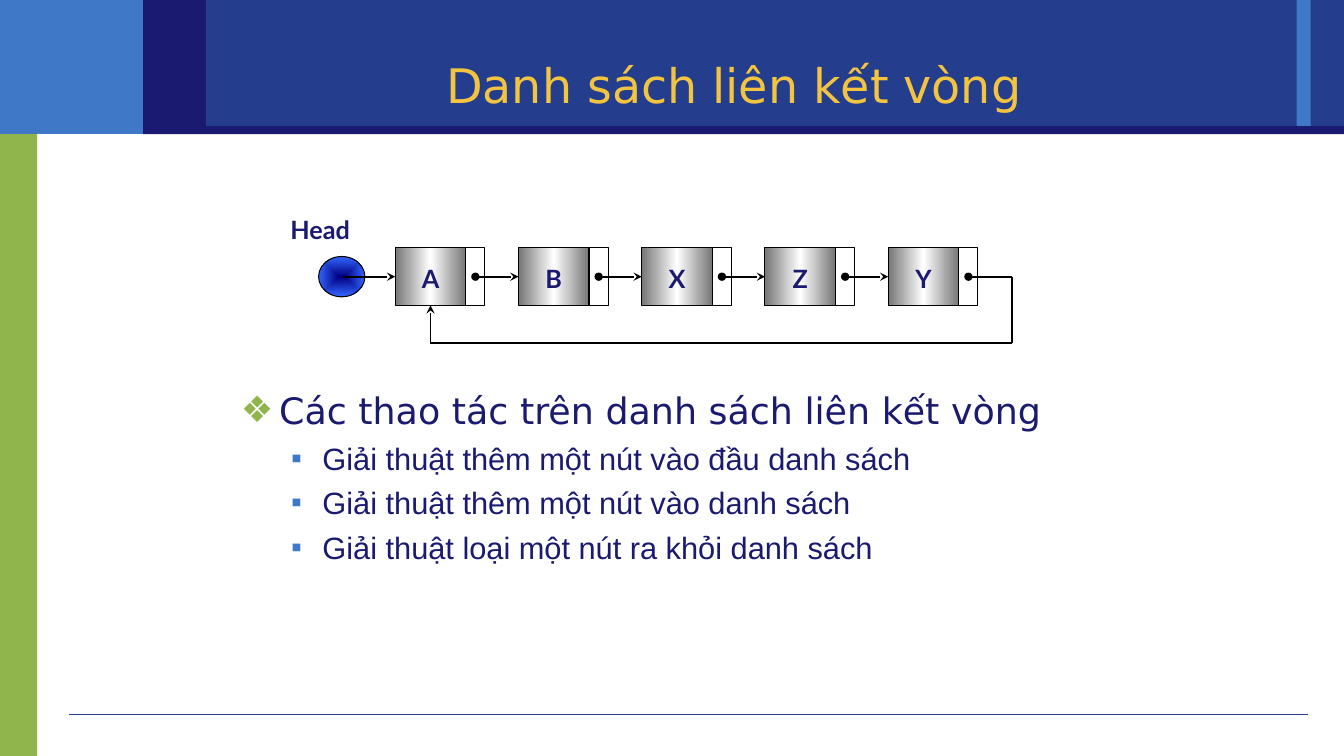
from dataclasses import dataclass

from lxml.etree import SubElement
from pptx import Presentation
from pptx.dml.color import RGBColor
from pptx.enum.shapes import MSO_CONNECTOR, MSO_SHAPE
from pptx.enum.text import MSO_ANCHOR, PP_ALIGN
from pptx.oxml.ns import qn
from pptx.util import Inches, Pt


@dataclass(frozen=True)
class Theme:
    white: str = "FFFFFF"
    black: str = "000000"
    navy: str = "1A1A70"
    blue: str = "243D8C"
    sky: str = "3E78C6"
    green: str = "90B54D"
    gold: str = "F3C43F"
    metal: tuple = ((0, "767676"), (50, "FFFFFF"), (100, "767676"))
    glow: tuple = ((0, "000080"), (100, "3366FF"))
    heading_font: str = "DejaVu Sans"
    list_font: str = "Arial"
    label_font: str = "Lato"
    title_size: float = 34
    topic_size: float = 26
    item_size: float = 22
    label_size: float = 18


@dataclass(frozen=True)
class Box:
    left: float
    top: float
    width: float
    height: float

    def inches(self):
        return [Inches(n) for n in (self.left, self.top, self.width, self.height)]


THEME = Theme()
TOP, LEFT, BOTTOM = 0, 1, 2
NODES = "ABXZY"
TOPIC = "Các thao tác trên danh sách liên kết vòng"
ITEMS = (
    "Giải thuật thêm một nút vào đầu danh sách",
    "Giải thuật thêm một nút vào danh sách",
    "Giải thuật loại một nút ra khỏi danh sách",
)


def add_panel(page, box, fill=None, outline=None, kind=MSO_SHAPE.RECTANGLE):
    panel = page.shapes.add_shape(kind, *box.inches())
    panel.shadow.inherit = False
    if fill:
        panel.fill.solid()
        panel.fill.fore_color.rgb = RGBColor.from_string(fill)
    if outline:
        panel.line.color.rgb = RGBColor.from_string(outline)
        panel.line.width = Pt(0.75)
    else:
        panel.line.fill.background()
    return panel


def set_gradient(panel, stops, radial=False):
    """Fill with colour stops, left to right or from the centre outwards."""
    panel.fill.gradient()
    gradient = panel.fill._xPr.find(qn("a:gradFill"))
    for child in list(gradient):
        gradient.remove(child)
    stop_list = SubElement(gradient, qn("a:gsLst"))
    for percent, color in stops:
        stop = SubElement(stop_list, qn("a:gs"), pos=str(percent * 1000))
        SubElement(stop, qn("a:srgbClr"), val=color)
    if radial:
        shade = SubElement(gradient, qn("a:path"), {"path": "shape"})
        SubElement(shade, qn("a:fillToRect"), l="50000", t="50000", r="50000", b="50000")
    else:
        SubElement(gradient, qn("a:lin"), ang="0", scaled="1")


def add_line(page, start, end, color=THEME.black, width=1.25, head=None, tail=None):
    line = page.shapes.add_connector(
        MSO_CONNECTOR.STRAIGHT, *[Inches(n) for n in (*start, *end)])
    line.line.color.rgb = RGBColor.from_string(color)
    line.line.width = Pt(width)
    outline = line.line._ln
    for tag, style in (("a:headEnd", head), ("a:tailEnd", tail)):
        if style:
            SubElement(outline, qn(tag), type=style)
    SubElement(line._element.spPr, qn("a:effectLst"))
    return line


def add_span(para, text, *, font, size, color, bold=False, align=None):
    para.alignment = align
    span = para.add_run()
    span.text = text
    span.font.name = font
    span.font.size = Pt(size)
    span.font.bold = bold
    span.font.color.rgb = RGBColor.from_string(color)


def prepare_frame(shape, insets, anchor=MSO_ANCHOR.MIDDLE):
    frame = shape.text_frame
    frame.word_wrap = True
    frame.vertical_anchor = anchor
    (frame.margin_left, frame.margin_top,
     frame.margin_right, frame.margin_bottom) = [Inches(n) for n in insets]
    return frame


def add_label(shape, text, top_inset=0):
    frame = prepare_frame(shape, (0, top_inset, 0, 0))
    add_span(frame.paragraphs[0], text, font=THEME.label_font, size=THEME.label_size,
             color=THEME.navy, bold=True, align=PP_ALIGN.CENTER)


def set_bullet(para, char, color, left, hanging):
    properties = para._p.get_or_add_pPr()
    properties.set("marL", str(Inches(left)))
    properties.set("indent", str(-Inches(hanging)))
    bullet_color = SubElement(properties, qn("a:buClr"))
    SubElement(bullet_color, qn("a:srgbClr"), val=color)
    SubElement(properties, qn("a:buFont"), typeface=THEME.list_font)
    SubElement(properties, qn("a:buChar"), char=char)


def draw_background(page, box):
    band = 1.33
    block, accent, strip = 2.05, 0.63, 0.08
    add_panel(page, Box(box.left, box.top + band, 0.37, box.height - band), THEME.green)
    add_panel(page, Box(box.left, box.top, block, band), THEME.sky)
    add_panel(page, Box(box.left + block, box.top, box.width - block, band), THEME.blue)
    add_panel(page, Box(box.left + 12.86, box.top, 0.14, band - strip), THEME.sky)
    add_line(page, (box.left + 0.68, box.top + 7.09), (box.left + 12.97, box.top + 7.09),
             color=THEME.blue, width=0.5)
    add_panel(page, Box(box.left + 1.42, box.top + band - strip, box.width - 1.42, strip),
              THEME.navy)
    add_panel(page, Box(box.left + block - accent, box.top, accent, band), THEME.navy)


def draw_title(page, box, text):
    frame = prepare_frame(page.shapes.add_textbox(*box.inches()), (0.1, 0.05, 0.1, 0.05))
    add_span(frame.paragraphs[0], text, font=THEME.heading_font, size=THEME.title_size,
             color=THEME.gold, align=PP_ALIGN.CENTER)


def draw_circular_list(page, box):
    """Draw the head, the linked nodes and the line back to the first node."""
    node_width, node_height, link_width = 0.7, 0.57, 0.19
    first_left, node_top = box.left + 1.17, box.top + 0.38
    pitch = (box.width - 2.4) / (len(NODES) - 1)
    middle = node_top + node_height / 2
    lefts = [first_left + index * pitch for index in range(len(NODES))]

    head = add_panel(page, Box(box.left + 0.41, middle - 0.2, 0.46, 0.4),
                     outline=THEME.black, kind=MSO_SHAPE.OVAL)
    set_gradient(head, THEME.glow, radial=True)
    nodes = []
    for left, name in zip(lefts, NODES):
        add_panel(page, Box(left + node_width, node_top, link_width, node_height),
                  THEME.white, THEME.black)
        node = add_panel(page, Box(left, node_top, node_width, node_height),
                         outline=THEME.black)
        set_gradient(node, THEME.metal)
        add_label(node, name, top_inset=0.03)
        nodes.append(node)

    dots = [left + node_width + link_width / 2 for left in lefts]
    starts = [box.left + 0.65, *dots[:-1]]
    for index, (start, left, node) in enumerate(zip(starts, lefts, nodes)):
        arrow = add_line(page, (start, middle), (left, middle),
                         head="oval" if index else None, tail="stealth")
        arrow.end_connect(node, LEFT)

    right, bottom = box.left + box.width, box.top + box.height
    entry = first_left + node_width / 2
    add_line(page, (dots[-1], middle), (right, middle), head="oval")
    add_line(page, (right, middle), (right, bottom))
    add_line(page, (right, bottom), (entry, bottom))
    back = add_line(page, (entry, bottom), (entry, node_top + node_height), tail="stealth")
    back.end_connect(nodes[0], BOTTOM)

    add_label(page.shapes.add_textbox(*Box(box.left, box.top, 0.85, 0.4).inches()), "Head")


def draw_operations(page, box):
    frame = prepare_frame(page.shapes.add_textbox(*box.inches()), (0.1, 0, 0.1, 0),
                          MSO_ANCHOR.TOP)
    para = frame.paragraphs[0]
    set_bullet(para, "❖", THEME.green, 0.38, 0.38)
    add_span(para, TOPIC, font=THEME.heading_font, size=THEME.topic_size, color=THEME.navy)
    for item in ITEMS:
        para = frame.add_paragraph()
        para.level = 1
        set_bullet(para, "▪", THEME.sky, 0.81, 0.31)
        para.space_before = Pt(5.4)
        add_span(para, item, font=THEME.list_font, size=THEME.item_size, color=THEME.navy)


def main():
    deck = Presentation()
    deck.slide_width, deck.slide_height = Inches(13.33), Inches(7.5)
    page = deck.slides.add_slide(deck.slide_layouts[6])
    draw_background(page, Box(0, 0, 13.33, 7.5))
    draw_title(page, Box(2, 0.51, 10.56, 0.66), "Danh sách liên kết vòng")
    draw_circular_list(page, Box(2.75, 2.08, 7.29, 1.32))
    draw_operations(page, Box(2.29, 3.85, 9.13, 2.57))
    deck.save("out.pptx")


if __name__ == "__main__":
    main()
